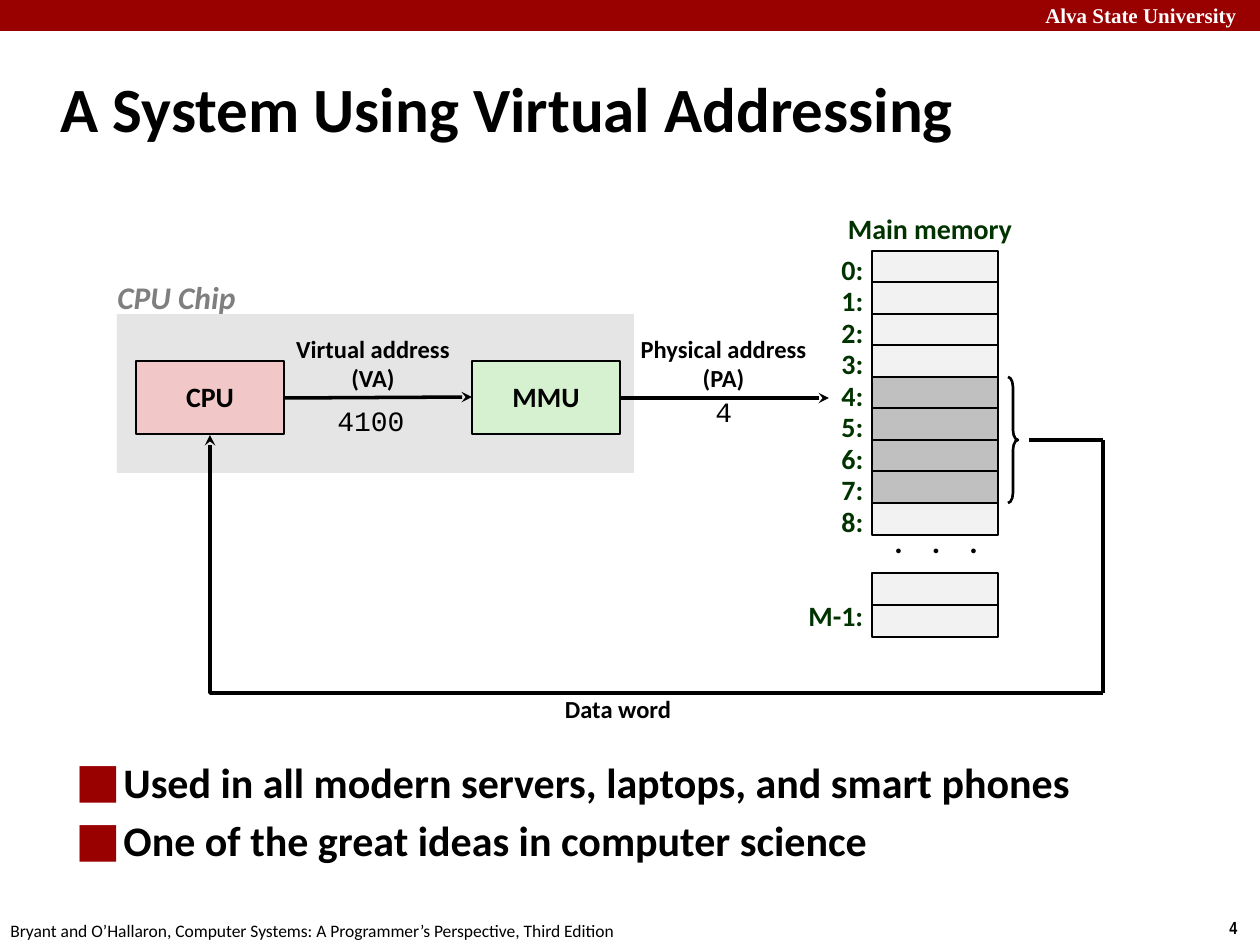
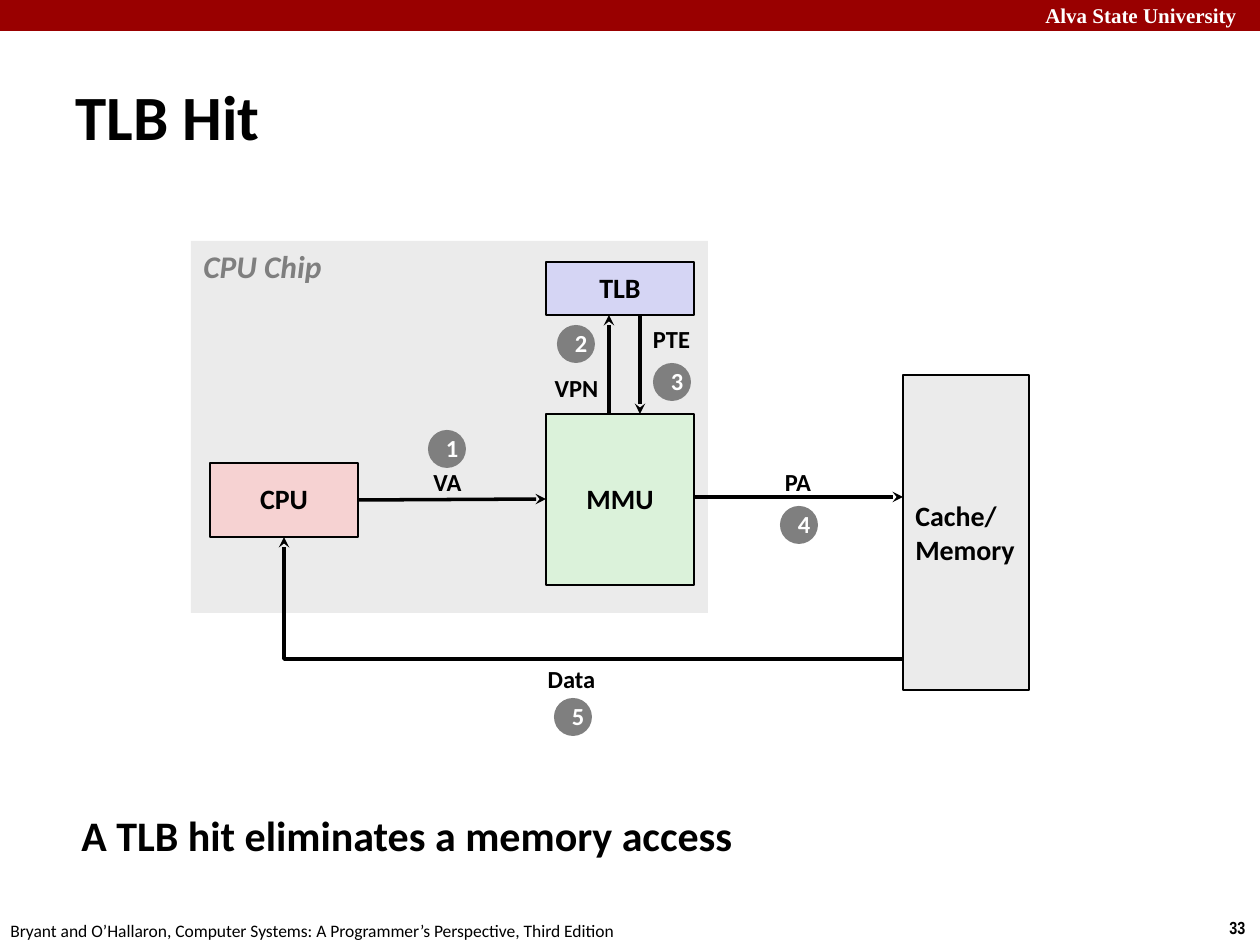
from lxml.etree import SubElement
from pptx import Presentation
from pptx.dml.color import RGBColor
from pptx.enum.shapes import MSO_CONNECTOR, MSO_SHAPE
from pptx.enum.text import MSO_ANCHOR, PP_ALIGN
from pptx.oxml.ns import qn
from pptx.util import Emu, Pt

SCALE = 914400 / 126
WIDE, HIGH = 1260, 945
INK = {
    "black": "000000", "white": "FFFFFF", "band": "990000", "green": "003300",
    "gray": "7F7F7F", "chip": "E5E5E5", "pale": "EBEBEB", "slot": "F2F2F2",
    "page": "C0C0C0", "cpu": "F1C7C7", "mmu": "D5F1CF", "cpu2": "F6D2D2",
    "mmu2": "DBF2DA", "tlb": "D5D5F4",
}
FOOT = ("Bryant and O’Hallaron, Computer Systems: "
        "A Programmer’s Perspective, Third Edition")


def px(num):
    return Emu(round(num * SCALE))


def rgb(name):
    return RGBColor.from_string(INK[name])


def mark(par):
    """Give a paragraph a hanging square bullet."""
    props = par._p.get_or_add_pPr()
    props.set("marL", str(px(48)))
    props.set("indent", str(-px(48)))
    tint = SubElement(props, qn("a:buClr"))
    SubElement(tint, qn("a:srgbClr")).set("val", INK["band"])
    SubElement(props, qn("a:buSzPct")).set("val", "180000")
    SubElement(props, qn("a:buFont")).set("typeface", "Arial")
    SubElement(props, qn("a:buChar")).set("char", "■")


def write(shape, text, size, color="black", bold=True, slant=False,
          face="Calibri", align=PP_ALIGN.LEFT, space=None, mid=False,
          wrap=True, bullet=False):
    frame = shape.text_frame
    frame.word_wrap = wrap
    frame.vertical_anchor = MSO_ANCHOR.MIDDLE if mid else MSO_ANCHOR.TOP
    for num, line in enumerate(text.split("\n")):
        par = frame.add_paragraph() if num else frame.paragraphs[0]
        par.add_run().text = line
        par.alignment = align
        if space:
            par.line_spacing = space
        if bullet:
            mark(par)
            par.space_before = Pt(4.8 if num else 0)
        font = par.font
        font.name, font.size = face, Pt(size)
        font.bold, font.italic = bold, slant
        font.color.rgb = rgb(color)


def label(slide, box, text, size, wrap=False, **style):
    shape = slide.shapes.add_textbox(*map(px, box))
    write(shape, text, size, wrap=wrap, **style)
    return shape


def tag(slide, box, text):
    """Name a signal in small centred type."""
    label(slide, box, text, 14, align=PP_ALIGN.CENTER, space=0.98, mid=True)


def block(slide, box, fill=None, line=None, kind=MSO_SHAPE.RECTANGLE):
    shape = slide.shapes.add_shape(kind, *map(px, box))
    shape.shadow.inherit = False
    if fill:
        shape.fill.solid()
        shape.fill.fore_color.rgb = rgb(fill)
    else:
        shape.fill.background()
    if line:
        shape.line.color.rgb = rgb("black")
        shape.line.width = Pt(line)
    else:
        shape.line.fill.background()
    return shape


def unit(slide, box, fill, text):
    """Draw a named hardware part."""
    write(block(slide, box, fill, 1), text, 16, align=PP_ALIGN.CENTER,
          space=0.98, mid=True)


def step(slide, left, top, num):
    disc = block(slide, (left, top, 38, 38), "gray", kind=MSO_SHAPE.OVAL)
    write(disc, str(num), 14, color="white", align=PP_ALIGN.CENTER,
          space=0.98, mid=True)


def wire(slide, ends, head=True, kind=MSO_CONNECTOR.STRAIGHT):
    line = slide.shapes.add_connector(kind, *map(px, ends))
    line.line.color.rgb = rgb("black")
    line.line.width = Pt(2)
    props = line.element.spPr
    if head:
        SubElement(props.find(qn("a:ln")), qn("a:tailEnd")).set("type", "stealth")
    SubElement(props, qn("a:effectLst"))
    return props


def bend(slide, left, top, right, low):
    """Run a wire from the lower right to the left, then up."""
    props = wire(slide, (left, top, right, low), kind=MSO_CONNECTOR.ELBOW)
    props.find(qn("a:prstGeom")).set("prst", "bentConnector2")
    props.find(qn("a:xfrm")).set("rot", "10800000")


def chip(slide, box, fill, left, top):
    block(slide, box, fill)
    label(slide, (left, top, 146, 50), "CPU Chip", 18, color="gray", slant=True)


def start(deck, title, left, top, page):
    """Add a slide with its band, title and footers."""
    slide = deck.slides.add_slide(deck.slide_layouts[6])
    block(slide, (0, 0, WIDE, 31), "band")
    label(slide, (1025, -4, 224, 38), "Alva State University", 12,
          color="white", face="Times New Roman", align=PP_ALIGN.RIGHT)
    label(slide, (1217, 911, 43, 34), str(page), 10, face="Arial Narrow")
    label(slide, (-2, 914, 640, 34), FOOT, 10, bold=False)
    label(slide, (left, top, 1201, 108), title, 36, wrap=True, mid=True)
    return slide


def store(slide):
    """Stack the memory slots and their addresses."""
    green = {"color": "green", "space": 0.88}
    label(slide, (834, 210, 192, 42), "Main memory", 16,
          align=PP_ALIGN.CENTER, **green)
    for num in range(9):
        top = 251 + num * 63 // 2
        fill = "page" if 4 <= num <= 7 else "slot"
        block(slide, (872, top, 126, 32), fill, 1.5)
        label(slide, (829, top, 47, 42), f"{num}:", 16, **green)
    for top in (573, 605):
        block(slide, (872, top, 126, 32), "slot", 1.5)
    label(slide, (796, 597, 81, 42), "M-1:", 16, **green)
    dots = label(slide, (882, 525, 136, 32), "...", 18, mid=True)
    dots.element.find(".//" + qn("a:defRPr")).set("spc", "1660")
    brace = block(slide, (1008, 377, 10, 126), line=1.5,
                  kind=MSO_SHAPE.RIGHT_BRACE)
    brace.adjustments[0] = 1


def virtual(deck):
    slide = start(deck, "A System Using Virtual Addressing", 48, 53, 4)
    chip(slide, (117, 314, 517, 159), "chip", 105, 272)
    store(slide)
    unit(slide, (136, 361, 148, 73), "cpu", "CPU")
    unit(slide, (472, 361, 148, 73), "mmu", "MMU")
    wire(slide, (284, 398, 472, 397))
    wire(slide, (620, 398, 829, 398))
    wire(slide, (1029, 440, 1103, 440), head=False)
    wire(slide, (1103, 440, 1103, 693), head=False)
    bend(slide, 210, 435, 1103, 693)
    tag(slide, (283, 328, 180, 72), "Virtual address\n(VA)")
    tag(slide, (627, 328, 193, 72), "Physical address\n(PA)")
    tag(slide, (552, 689, 132, 42), "Data word")
    for box, code in (((325, 397, 93, 47), "4100"), ((703, 388, 43, 47), "4")):
        label(slide, box, code, 16, bold=False, face="Courier New")
    label(slide, (63, 750, 1145, 174),
          "Used in all modern servers, laptops, and smart phones\n"
          "One of the great ideas in computer science",
          24, wrap=True, bullet=True)


def hit(deck):
    slide = start(deck, "TLB Hit", 63, 61, 33)
    chip(slide, (191, 241, 517, 372), "pale", 191, 241)
    unit(slide, (546, 414, 148, 171), "mmu2", "MMU")
    unit(slide, (210, 463, 148, 74), "cpu2", "CPU")
    unit(slide, (546, 262, 148, 53), "tlb", "TLB")
    cache = block(slide, (903, 375, 126, 315), "pale", 1.5)
    write(cache, "Cache/\nMemory", 16, mid=True)
    for ends in ((358, 500, 546, 499), (694, 497, 903, 497),
                 (609, 414, 609, 315), (640, 315, 640, 414)):
        wire(slide, ends)
    bend(slide, 284, 537, 903, 659)
    for box, name in (((421, 462, 53, 42), "VA"), ((772, 462, 52, 42), "PA"),
                      ((535, 659, 73, 42), "Data"), ((542, 368, 69, 42), "VPN"),
                      ((640, 319, 63, 42), "PTE")):
        tag(slide, box, name)
    spots = ((428, 430), (557, 325), (653, 363), (780, 506), (554, 698))
    for num, (left, top) in enumerate(spots, 1):
        step(slide, left, top, num)
    label(slide, (69, 803, 990, 79), "A TLB hit eliminates a memory access",
          24, wrap=True)


def main():
    deck = Presentation()
    deck.slide_width, deck.slide_height = px(WIDE), px(HIGH)
    virtual(deck)
    hit(deck)
    deck.save("out.pptx")


if __name__ == "__main__":
    main()
